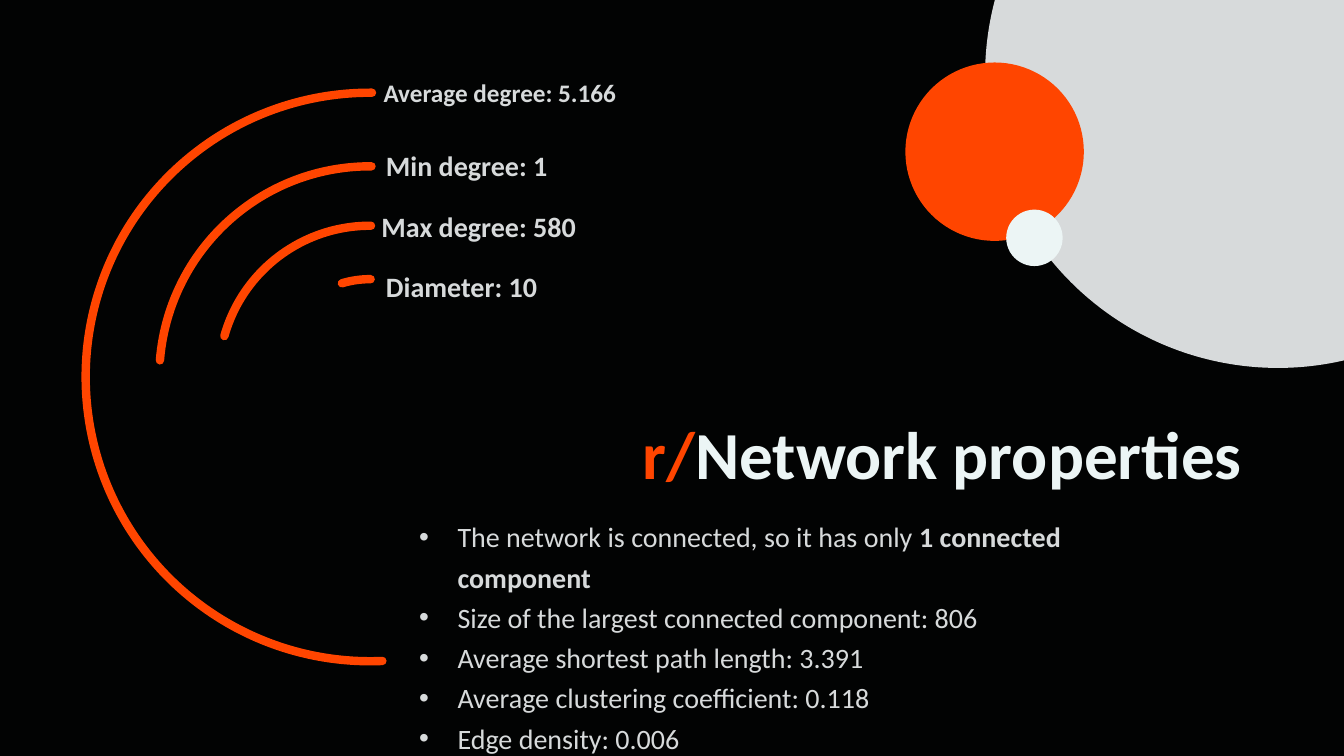
from pptx import Presentation
from pptx.dml.color import RGBColor
from pptx.enum import shapes, text
from pptx.oxml import parse_xml
from pptx.oxml.ns import nsdecls
from pptx.util import Inches, Pt

COLORS = {"back": "020303", "gray": "D7DADB", "orange": "FF4500", "white": "ECF5F5"}
LEFT, RIGHT = text.PP_ALIGN.LEFT, text.PP_ALIGN.RIGHT


def color(name):
    return RGBColor.from_string(COLORS[name])


def write(para, parts, size, align=LEFT, spacing=1.2):
    """Fill a paragraph with (words, colour, bold) parts."""
    para.alignment = align
    para.line_spacing = spacing
    for words, tint, bold in parts:
        run = para.add_run()
        run.text = words
        run.font.name = "Calibri"
        run.font.size = Pt(size)
        run.font.bold = bold
        run.font.color.rgb = color(tint)


deck = Presentation()
deck.slide_width, deck.slide_height = Inches(13.33), Inches(7.5)
slide = deck.slides.add_slide(deck.slide_layouts[6])
slide.background.fill.solid()
slide.background.fill.fore_color.rgb = color("back")

# Circles: left, top, diameter, colour
for left, top, size, tint in [
    (9.77, -2.16, 5.81, "gray"),
    (8.98, 0.62, 1.77, "orange"),
    (9.98, 2.08, 0.56, "white"),
]:
    disc = slide.shapes.add_shape(
        shapes.MSO_SHAPE.OVAL, Inches(left), Inches(top), Inches(size), Inches(size))
    disc.shadow.inherit = False
    disc.fill.solid()
    disc.fill.fore_color.rgb = color(tint)
    disc.line.fill.background()

# Arcs share a centre and an end angle: diameter, start angle in degrees
MID_X, MID_Y, END = 3.67, 3.74, 270.41
UNIT = 0.6  # adjustment units per degree
for size, start in [(5.64, 87.5), (4.18, 184.53), (3, 195.69), (1.94, 253.33)]:
    arc = slide.shapes.add_shape(
        shapes.MSO_SHAPE.ARC, Inches(MID_X - size / 2), Inches(MID_Y - size / 2),
        Inches(size), Inches(size))
    arc.shadow.inherit = False
    arc.adjustments[0] = start * UNIT
    arc.adjustments[1] = END * UNIT
    arc.fill.background()
    arc.line.color.rgb = color("orange")
    arc.line.width = Pt(6)
    arc.element.spPr.ln.set("cap", "rnd")

# Arc labels: words, left, top, width, height, size, alignment
for words, left, top, width, height, size, align in [
    ("Average degree: 5.166", 3.33, 0.66, 2.88, 0.44, 18, RIGHT),
    ("Min degree: 1", 3.73, 1.36, 1.94, 0.48, 20, LEFT),
    ("Max degree: 580", 3.33, 1.96, 2.48, 0.48, 20, RIGHT),
    ("Diameter: 10", 3.73, 2.56, 2.2, 0.48, 20, LEFT),
]:
    label = slide.shapes.add_textbox(
        Inches(left), Inches(top), Inches(width), Inches(height)).text_frame
    label.word_wrap = True
    write(label.paragraphs[0], [(words, "gray", True)], size, align)

title = slide.shapes.add_textbox(
    Inches(6.21), Inches(4.04), Inches(6.21), Inches(0.91)).text_frame
title.word_wrap = False
write(title.paragraphs[0],
      [("r/", "orange", True), ("Network properties", "white", True)], 48, RIGHT, 1.0)

facts = [
    [("The network is connected, so it has only ", "gray", False),
     ("1 connected component", "gray", True)],
    [("Size of the largest connected component: 806", "gray", False)],
    [("Average shortest path length: 3.391", "gray", False)],
    [("Average clustering coefficient: 0.118", "gray", False)],
    [("Edge density: 0.006", "gray", False)],
]
body = slide.shapes.add_textbox(
    Inches(4.06), Inches(5.04), Inches(7.93), Inches(2.9)).text_frame
body.word_wrap = True
for i, parts in enumerate(facts):
    para = body.add_paragraph() if i else body.paragraphs[0]
    write(para, parts, 20)
    props = para._p.get_or_add_pPr()
    props.set("marL", str(Inches(0.38)))
    props.set("indent", str(-Inches(0.38)))
    for tag in ('a:buFont {} typeface="Arial"', 'a:buChar {} char="•"'):
        props.append(parse_xml("<" + tag.format(nsdecls("a")) + "/>"))

deck.save("out.pptx")
